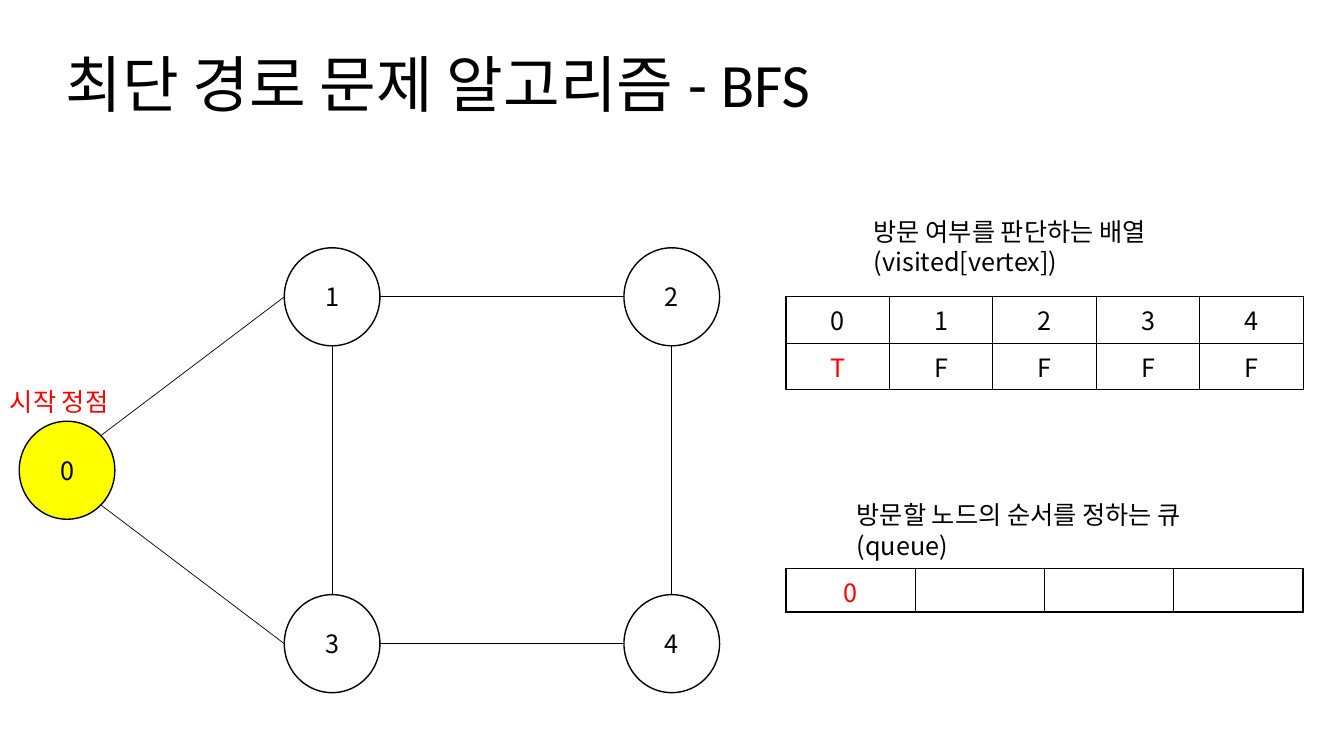
"""Build the slide that shows the first step of BFS on a five-node graph."""
from lxml.etree import SubElement
from pptx import Presentation
from pptx.dml.color import RGBColor
from pptx.enum.shapes import MSO_CONNECTOR, MSO_SHAPE
from pptx.enum.text import MSO_ANCHOR, PP_ALIGN
from pptx.oxml.ns import qn
from pptx.util import Cm, Pt

COLORS = {"black": "000000", "white": "FFFFFF", "yellow": "FFFF00", "red": "FF0000"}
KOREAN_FONT = "Noto Sans CJK KR"


def color(name):
    return RGBColor.from_string(COLORS[name])


def write(frame, text, color_name="black", align=PP_ALIGN.LEFT, size=18, font=KOREAN_FONT):
    para = frame.paragraphs[0]
    para.alignment = align
    span = para.add_run()
    span.text = text
    for name, value in {"size": Pt(size), "name": font}.items():
        setattr(span.font, name, value)
    span.font.color.rgb = color(color_name)
    SubElement(span.font._element, qn("a:ea"), typeface=KOREAN_FONT)
    return para


deck = Presentation()
deck.slide_width, deck.slide_height = Cm(33.87), Cm(19.05)
page = deck.slides.add_slide(deck.slide_layouts[5])

title = page.shapes.title
title_format = {"left": Cm(1.4), "top": Cm(0.36), "width": Cm(29.21), "height": Cm(3.68)}
for name, value in title_format.items():
    setattr(title, name, value)
title.text_frame.vertical_anchor = MSO_ANCHOR.MIDDLE
write(title.text_frame, "최단 경로 문제 알고리즘 - BFS", size=44, font="Calibri").line_spacing = 0.9

node_width, node_height = 2.41, 2.47
left_x, middle_x, right_x = 1.69, 8.37, 16.93
top_y, row_step = 7.48, 4.37
centers = {
    0: (left_x, top_y + row_step),
    1: (middle_x, top_y),
    2: (right_x, top_y),
    3: (middle_x, top_y + 2 * row_step),
    4: (right_x, top_y + 2 * row_step),
}
for number, (x, y) in centers.items():
    node = page.shapes.add_shape(
        MSO_SHAPE.FLOWCHART_CONNECTOR, Cm(x - node_width / 2), Cm(y - node_height / 2),
        Cm(node_width), Cm(node_height))
    node.shadow.inherit = False
    node.fill.solid()
    node.fill.fore_color.rgb = color("white" if number else "yellow")
    node.line.color.rgb = color("black")
    node.line.width = Pt(1)
    node.text_frame.vertical_anchor = MSO_ANCHOR.MIDDLE
    write(node.text_frame, str(number), align=PP_ALIGN.CENTER)

right, left, up, down = (1, 0), (-1, 0), (0, -1), (0, 1)
edges = [
    (1, right, 2, left), (2, down, 4, up), (3, right, 4, left), (1, down, 3, up),
    (0, (0.71, 0.71), 3, left), (0, (0.71, -0.71), 1, left),
]
for start, start_side, end, end_side in edges:
    ends = []
    for number, side in ((start, start_side), (end, end_side)):
        x, y = centers[number]
        ends += [Cm(x + side[0] * node_width / 2), Cm(y + side[1] * node_height / 2)]
    edge = page.shapes.add_connector(MSO_CONNECTOR.STRAIGHT, *ends)
    edge.line.color.rgb = color("black")
    edge.line.width = Pt(0.5)
    SubElement(edge._element.spPr, qn("a:effectLst"))

table_left, table_width = 19.81, 13.03
tables = [
    (7.47, 1.03, 0.13, [["0", "1", "2", "3", "4"], ["T", "F", "F", "F", "F"]], {(1, 0)}),
    (14.33, 1.09, 0, [["0", "", "", ""]], {(0, 0)}),
]
for top, row_height, bottom_margin, rows, red_cells in tables:
    frame = page.shapes.add_table(
        len(rows), len(rows[0]), Cm(table_left), Cm(top),
        Cm(table_width), Cm(row_height * len(rows)))
    grid = frame.table
    grid.first_row = grid.horz_banding = False
    for row_index, row in enumerate(rows):
        grid.rows[row_index].height = Cm(row_height)
        for column_index, text in enumerate(row):
            cell = grid.cell(row_index, column_index)
            cell.margin_bottom = Cm(bottom_margin)
            properties = cell._tc.get_or_add_tcPr()
            for side in ("a:lnL", "a:lnR", "a:lnT", "a:lnB"):
                border = SubElement(properties, qn(side), w=str(Pt(1)))
                fill = SubElement(border, qn("a:solidFill"))
                SubElement(fill, qn("a:srgbClr"), val=COLORS["black"])
            cell.fill.background()
            if text:
                text_color = "red" if (row_index, column_index) in red_cells else "black"
                write(cell.text_frame, text, text_color, PP_ALIGN.CENTER)

labels = [
    ("방문 여부를 판단하는 배열(visited[vertex])", 21.77, 5.33, 8.33, 1.8, "black"),
    ("방문할 노드의 순서를 정하는 큐(queue)", 21.34, 12.47, 9.98, 1.8, "black"),
    ("시작 정점", 0, 9.6, 3.68, 1.02, "red"),
]
for text, x, y, width, height, color_name in labels:
    box = page.shapes.add_textbox(Cm(x), Cm(y), Cm(width), Cm(height))
    box.text_frame.word_wrap = True
    write(box.text_frame, text, color_name)

deck.save("out.pptx")
